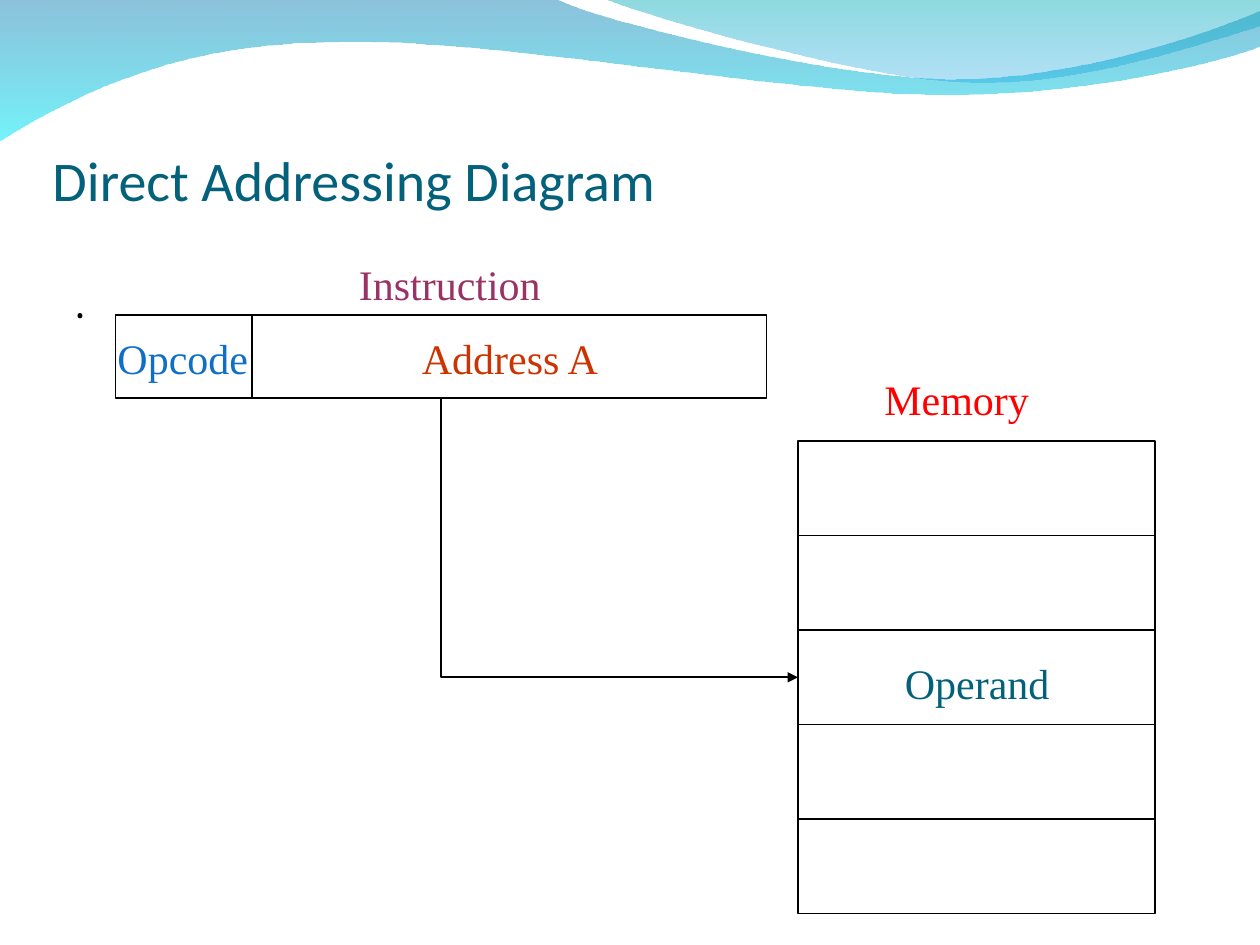
from lxml import etree
from pptx import Presentation
from pptx.dml.color import RGBColor
from pptx.enum.shapes import MSO_CONNECTOR, MSO_SHAPE
from pptx.enum.text import MSO_ANCHOR, MSO_AUTO_SIZE, PP_ALIGN
from pptx.oxml.ns import qn
from pptx.util import Pt

RECTANGLE = MSO_SHAPE.RECTANGLE
STRAIGHT = MSO_CONNECTOR.STRAIGHT
BOTTOM = MSO_ANCHOR.BOTTOM
LEFT = PP_ALIGN.LEFT
FIT_SHAPE = MSO_AUTO_SIZE.SHAPE_TO_FIT_TEXT

BLACK = RGBColor(0x00, 0x00, 0x00)
DARK_TEAL = RGBColor(0x04, 0x61, 0x7B)
BLUE = RGBColor(0x0F, 0x6F, 0xC6)
RUST = RGBColor(0xCC, 0x33, 0x00)
PLUM = RGBColor(0x99, 0x33, 0x66)
RED = RGBColor(0xFF, 0x00, 0x00)
WAVE_BLUE = RGBColor(0x00, 0x79, 0xAF)
WAVE_CYAN = RGBColor(0x00, 0xEB, 0xF8)
WAVE_TEAL = RGBColor(0x00, 0xAD, 0xB6)
WAVE_SKY = RGBColor(0x00, 0x9B, 0xE5)


class DiagramSlide:
    """Holds the slide and the style of its elements; all lengths are in points."""

    title_font = "Calibri"
    body_font = "Cambria"
    label_font = "Times New Roman"
    label_size = 24
    line_width = 1

    def __init__(self, deck):
        self.page = deck.slides.add_slide(deck.slide_layouts[5])
        self.shapes = self.page.shapes

    def style_text(self, frame, font, size, color):
        para = frame.paragraphs[0]
        para.alignment = LEFT
        for span in para.runs:
            span.font.name = font
            span.font.size = Pt(size)
            span.font.color.rgb = color

    def style_line(self, line):
        line.color.rgb = BLACK
        line.width = Pt(self.line_width)

    def title(self, text, left, top, width, height):
        """Fill the title placeholder and bring it in front of the shapes drawn so far."""
        box = self.shapes.title
        self.shapes._spTree.append(box._element)
        box.left, box.top, box.width, box.height = map(Pt, (left, top, width, height))
        frame = box.text_frame
        frame.text = text
        frame.vertical_anchor = BOTTOM
        frame.margin_left = frame.margin_right = frame.margin_bottom = 0
        self.style_text(frame, self.title_font, 32, DARK_TEAL)

    def body(self, text, left, top, width, height):
        box = self.shapes.add_textbox(Pt(left), Pt(top), Pt(width), Pt(height))
        frame = box.text_frame
        frame.word_wrap = True
        frame.text = text
        self.style_text(frame, self.body_font, 26, BLACK)

    def label(self, text, left, top, width, color):
        box = self.shapes.add_textbox(Pt(left), Pt(top), Pt(width), Pt(36))
        frame = box.text_frame
        frame.word_wrap = False
        frame.auto_size = FIT_SHAPE
        frame.text = text
        self.style_text(frame, self.label_font, self.label_size, color)

    def cell(self, left, top, width, height):
        box = self.shapes.add_shape(RECTANGLE, Pt(left), Pt(top), Pt(width), Pt(height))
        box.shadow.inherit = False
        box.fill.background()
        self.style_line(box.line)

    def divider(self, x, top, bottom):
        line = self.shapes.add_connector(STRAIGHT, Pt(x), Pt(top), Pt(x), Pt(bottom))
        self.style_line(line.line)
        etree.SubElement(line._element.spPr, qn("a:effectLst"))

    def outline(self, points, close):
        start, *rest = [(Pt(x), Pt(y)) for x, y in points]
        builder = self.shapes.build_freeform(*start)
        builder.add_line_segments(rest, close=close)
        shape = builder.convert_to_shape()
        shape.shadow.inherit = False
        return shape

    def bent_arrow(self, points):
        arrow = self.outline(points, close=False)
        arrow.fill.background()
        self.style_line(arrow.line)
        etree.SubElement(arrow.line._get_or_add_ln(), qn("a:tailEnd"), type="triangle")

    def wave(self, start, segments, stops):
        """Draw a closed area that fades downwards through (colour, opacity percent) stops.

        A segment of one point is a line, a segment of three points is a Bezier curve.
        """
        wave = self.outline([start, *(point for segment in segments for point in segment)], close=True)
        wave.line.fill.background()
        wave.fill.gradient()
        wave.fill.gradient_angle = 270
        for stop, (color, _) in zip(wave.fill.gradient_stops, stops):
            stop.color.rgb = color
        properties = wave._element.spPr
        for node, (_, opacity) in zip(properties.iter(qn("a:srgbClr")), stops):
            etree.SubElement(node, qn("a:alpha"), val=str(opacity * 1000))

        lines = iter(list(properties.iter(qn("a:lnTo"))))
        for segment in segments:
            first, *others = [next(lines) for _ in segment]
            if not others:
                continue
            curve = etree.Element(qn("a:cubicBezTo"))
            first.addprevious(curve)
            for line in (first, *others):
                curve.append(line[0])
                line.getparent().remove(line)


def main():
    deck = Presentation()
    deck.slide_width, deck.slide_height = Pt(720), Pt(540)
    slide = DiagramSlide(deck)

    slide.wave((0, -1), [
        [(317, -1)],
        [(343, 12), (478, 45), (546, 45)],
        [(614, 45), (690, 19), (720, 6)],
        [(721, 26)],
        [(708, 32), (626, 55), (537, 54)],
        [(447, 54), (275, 20), (185, 24)],
        [(93, 25), (33, 60), (-1, 81)],
    ], [(WAVE_BLUE, 45), (WAVE_CYAN, 55)])
    slide.wave((345, -1), [
        [(366, 8), (491, 45), (554, 47)],
        [(616, 50), (692, 23), (720, 15)],
        [(720, 0)],
    ], [(WAVE_TEAL, 45), (WAVE_SKY, 30)])

    slide.title("Direct Addressing Diagram", 30, 66, 540, 55.5)
    slide.body(".", 36, 152.5, 648, 346)

    instruction_top, instruction_height = 180, 47.5
    instruction_bottom = instruction_top + instruction_height
    slide.cell(66, instruction_top, 372, instruction_height)
    slide.divider(144, instruction_top, instruction_bottom)

    for text, left, top, width, color in (
        ("Address A", 234, 186.2, 116, RUST),
        ("Opcode", 60, 186.2, 89.5, BLUE),
        ("Instruction", 198, 144, 119, PLUM),
        ("Memory", 498.3, 210, 97.5, RED),
        ("Operand", 510, 372, 97.5, DARK_TEAL),
    ):
        slide.label(text, left, top, width, color)

    memory_left, memory_top, cell_height = 456, 252, 54
    for row in range(5):
        slide.cell(memory_left, memory_top + row * cell_height, 204, cell_height)

    operand_middle = memory_top + 2.5 * cell_height
    slide.bent_arrow([(252, instruction_bottom), (252, operand_middle), (memory_left, operand_middle)])

    deck.save("out.pptx")


if __name__ == "__main__":
    main()
